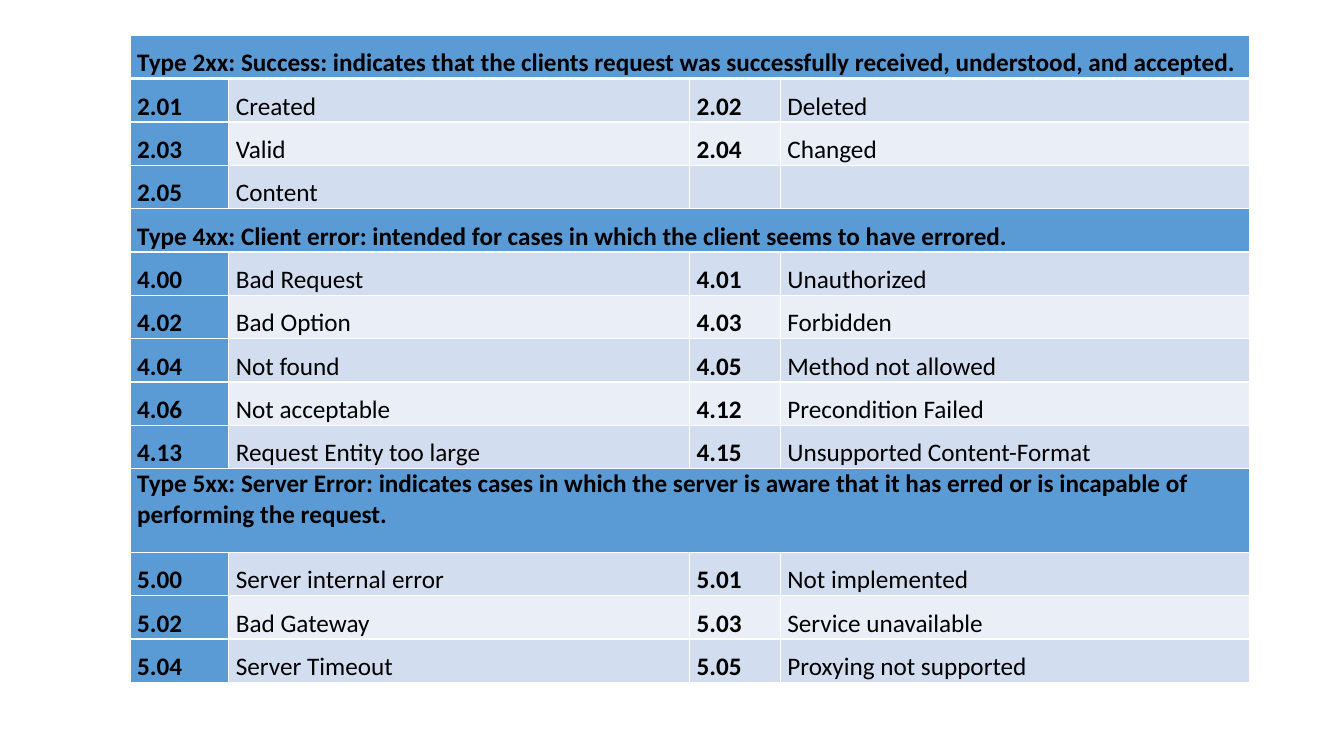
"""Build a slide that tabulates the response codes by class."""

from dataclasses import dataclass
from typing import NamedTuple

from lxml.etree import SubElement
from pptx import Presentation
from pptx.dml.color import RGBColor
from pptx.enum.text import MSO_ANCHOR as Anchor, PP_ALIGN as Align
from pptx.oxml.ns import qn
from pptx.table import Table, _Cell as Cell
from pptx.util import Inches, Pt


@dataclass(frozen=True)
class Theme:
    font: str = "Calibri"
    size: int = 18
    line_pitch: int = 12
    space_after: int = 7
    text: str = "000000"
    accent: str = "5B9BD5"
    bands: tuple[str, str] = ("D2DEEF", "EAEFF7")
    border: str = "FFFFFF"
    thin: int = 1
    thick: int = 3


class Code(NamedTuple):
    number: str
    meaning: str


class Section(NamedTuple):
    heading: str
    codes: list[Code]
    tall: bool = False


THEME = Theme()
LEFT, TOP = 1.29, 0.35
COLUMN_WIDTHS = (0.98, 4.57, 0.9, 4.65)
ROW_HEIGHT, TALL_HEIGHT = 0.43, 0.83
SIDE_MARGIN = 0.07
PER_ROW = 2

SECTIONS = [
    Section(
        "Type 2xx: Success: indicates that the clients request was successfully "
        "received, understood, and accepted.",
        [
            Code("2.01", "Created"),
            Code("2.02", "Deleted"),
            Code("2.03", "Valid"),
            Code("2.04", "Changed"),
            Code("2.05", "Content"),
        ],
    ),
    Section(
        "Type 4xx: Client error: intended for cases in which the client seems "
        "to have errored.",
        [
            Code("4.00", "Bad Request"),
            Code("4.01", "Unauthorized"),
            Code("4.02", "Bad Option"),
            Code("4.03", "Forbidden"),
            Code("4.04", "Not found"),
            Code("4.05", "Method not allowed"),
            Code("4.06", "Not acceptable"),
            Code("4.12", "Precondition Failed"),
            Code("4.13", "Request Entity too large"),
            Code("4.15", "Unsupported Content-Format"),
        ],
    ),
    Section(
        "Type 5xx: Server Error: indicates cases in which the server is aware "
        "that it has erred or is incapable of performing the request.",
        [
            Code("5.00", "Server internal error"),
            Code("5.01", "Not implemented"),
            Code("5.02", "Bad Gateway"),
            Code("5.03", "Service unavailable"),
            Code("5.04", "Server Timeout"),
            Code("5.05", "Proxying not supported"),
        ],
        tall=True,
    ),
]


def code_rows(section: Section) -> list[list[Code]]:
    starts = range(0, len(section.codes), PER_ROW)
    return [section.codes[start:start + PER_ROW] for start in starts]


def set_borders(cell: Cell, top: int, bottom: int) -> None:
    properties = cell._tc.get_or_add_tcPr()
    widths = {"L": THEME.thin, "R": THEME.thin, "T": top, "B": bottom}
    for position, (side, width) in enumerate(widths.items()):
        line = SubElement(properties, qn(f"a:ln{side}"), w=str(Pt(width)))
        fill = SubElement(line, qn("a:solidFill"))
        SubElement(fill, qn("a:srgbClr"), val=THEME.border)
        properties.insert(position, line)


def fill_cell(cell: Cell, color: str) -> None:
    cell.fill.solid()
    cell.fill.fore_color.rgb = RGBColor.from_string(color)
    cell.margin_left = cell.margin_right = Inches(SIDE_MARGIN)
    cell.margin_top = cell.margin_bottom = 0


def write_cell(cell: Cell, text: str, bold: bool, tall: bool = False) -> None:
    cell.vertical_anchor = Anchor.TOP if tall else Anchor.BOTTOM
    para = cell.text_frame.paragraphs[0]
    para.text = text
    para.font.name = THEME.font
    para.font.size = Pt(THEME.size)
    para.font.bold = bold
    para.font.color.rgb = RGBColor.from_string(THEME.text)
    if not tall:
        para.alignment = Align.JUSTIFY
        para.line_spacing = Pt(THEME.line_pitch)
        para.space_after = Pt(THEME.space_after)


def add_heading(table: Table, row: int, section: Section) -> None:
    for cell in table.rows[row].cells:
        fill_cell(cell, THEME.accent)
    heading = table.cell(row, 0)
    heading.merge(table.cell(row, len(COLUMN_WIDTHS) - 1))
    write_cell(heading, section.heading, bold=True, tall=section.tall)
    if section.tall:
        table.rows[row].height = Inches(TALL_HEIGHT)


def add_codes(table: Table, row: int, codes: list[Code], band: str) -> None:
    for column, cell in enumerate(table.rows[row].cells):
        fill_cell(cell, band if column else THEME.accent)
    for index, code in enumerate(codes):
        write_cell(table.cell(row, 2 * index), code.number, bold=True)
        write_cell(table.cell(row, 2 * index + 1), code.meaning, bold=False)


def add_code_table(slide) -> None:
    row_count = sum(1 + len(code_rows(section)) for section in SECTIONS)
    table = slide.shapes.add_table(
        row_count, len(COLUMN_WIDTHS), Inches(LEFT), Inches(TOP),
        Inches(sum(COLUMN_WIDTHS)), Inches(ROW_HEIGHT * row_count),
    ).table
    table.first_row = table.horz_banding = False
    for column, width in zip(table.columns, COLUMN_WIDTHS):
        column.width = Inches(width)
    for table_row in table.rows:
        table_row.height = Inches(ROW_HEIGHT)

    row = 0
    for section in SECTIONS:
        add_heading(table, row, section)
        for index, codes in enumerate(code_rows(section)):
            band = THEME.bands[index % len(THEME.bands)]
            add_codes(table, row + 1 + index, codes, band)
        row += 1 + len(code_rows(section))

    for index, table_row in enumerate(table.rows):
        top = THEME.thick if index == 1 else THEME.thin
        bottom = THEME.thick if index == 0 else THEME.thin
        for cell in table_row.cells:
            set_borders(cell, top, bottom)


def main() -> None:
    deck = Presentation()
    deck.slide_width, deck.slide_height = Inches(13.33), Inches(7.5)
    add_code_table(deck.slides.add_slide(deck.slide_layouts[6]))
    deck.save("out.pptx")


if __name__ == "__main__":
    main()
